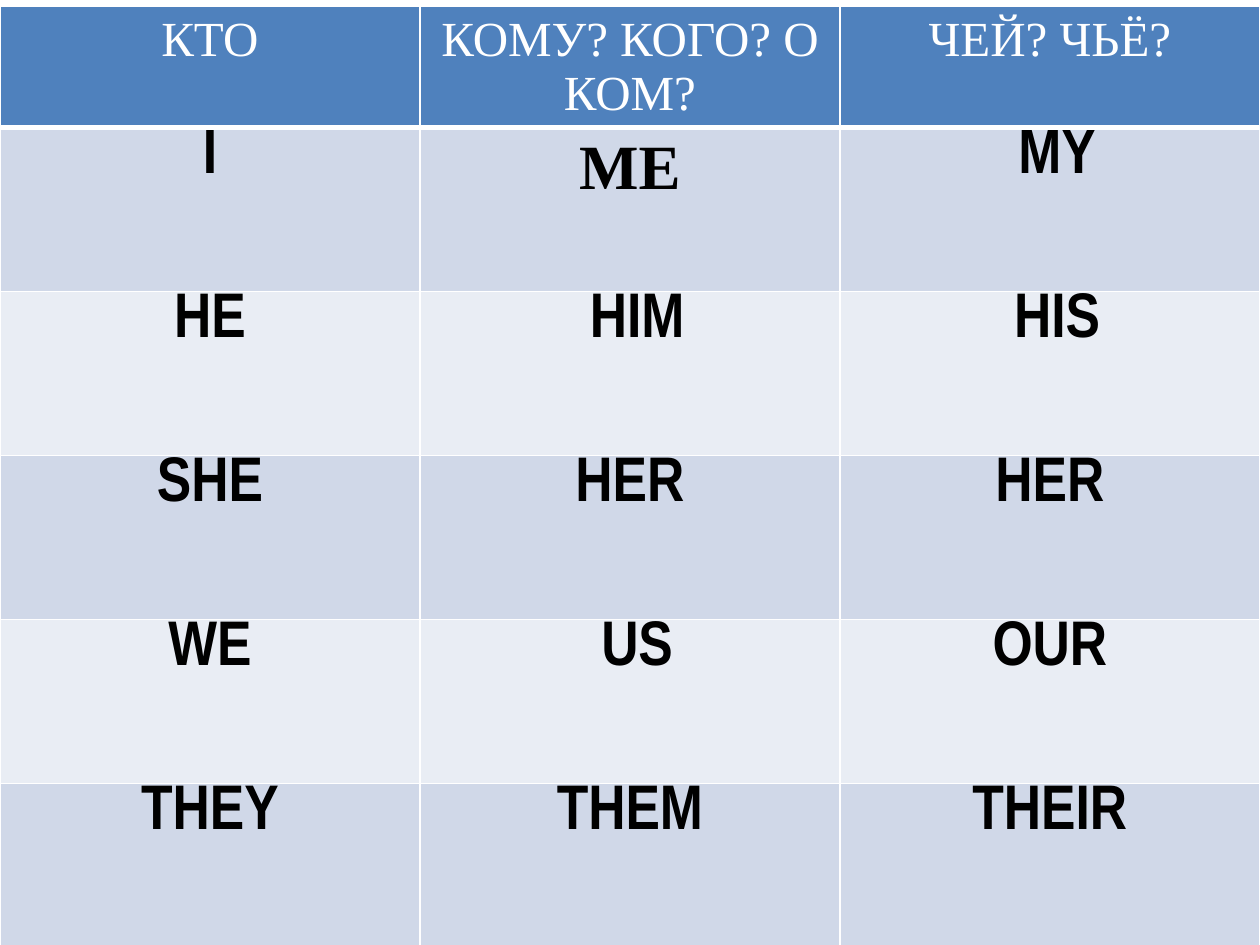
from lxml.etree import SubElement
from pptx import Presentation
from pptx.dml.color import RGBColor
from pptx.enum.text import PP_ALIGN as Align
from pptx.oxml.ns import qn
from pptx.util import Pt

WHITE = RGBColor(0xFF, 0xFF, 0xFF)
BLACK = RGBColor(0, 0, 0)
HEADER_BLUE = RGBColor(0x4F, 0x81, 0xBD)
BANDS = (RGBColor(0xD0, 0xD8, 0xE8), RGBColor(0xE9, 0xED, 0xF4))
SERIF, NARROW = "Times New Roman", "Arial Narrow"

QUESTIONS = ("КТО", "КОМУ? КОГО? О КОМ?", "ЧЕЙ? ЧЬЁ?")
PRONOUNS = [
    ("I", "ME", " MY"),
    ("HE", " HIM", " HIS"),
    ("SHE", "HER", " HER "),
    ("WE", " US", "OUR"),
    ("THEY", "THEM", "THEIR"),
]
SERIF_WORDS = {"ME"}

WIDTH, HEIGHT = 720, 540
TABLE_TOP, HEADER_HEIGHT, ROW_HEIGHT = 3.6, 68, 93.75


def set_borders(cell, bottom):
    properties = cell._tc.get_or_add_tcPr()
    widths = {"a:lnL": 1, "a:lnR": 1, "a:lnT": 1, "a:lnB": bottom}
    for position, (tag, width) in enumerate(widths.items()):
        line = SubElement(properties, qn(tag), w=str(Pt(width)))
        fill = SubElement(line, qn("a:solidFill"))
        SubElement(fill, qn("a:srgbClr"), val=str(WHITE))
        properties.insert(position, line)


def write_cell(cell, word, font_name, size, color, bold, fill, bottom):
    cell.fill.solid()
    cell.fill.fore_color.rgb = fill
    set_borders(cell, bottom)
    cell.margin_top = cell.margin_bottom = Pt(3.6 if font_name == SERIF else 0)
    paragraph = cell.text_frame.paragraphs[0]
    paragraph.alignment = Align.CENTER
    run = paragraph.add_run()
    run.text = word
    run.font.name = font_name
    run.font.size = Pt(size)
    run.font.bold = bold
    run.font.color.rgb = color


def main():
    deck = Presentation()
    deck.slide_width, deck.slide_height = Pt(WIDTH), Pt(HEIGHT)
    slide = deck.slides.add_slide(deck.slide_layouts[6])
    table_height = HEADER_HEIGHT + ROW_HEIGHT * len(PRONOUNS)
    table = slide.shapes.add_table(
        len(PRONOUNS) + 1, len(QUESTIONS),
        Pt(0), Pt(TABLE_TOP), Pt(WIDTH), Pt(table_height)).table
    for column in table.columns:
        column.width = Pt(WIDTH / len(QUESTIONS))

    table.rows[0].height = Pt(HEADER_HEIGHT)
    for col, question in enumerate(QUESTIONS):
        write_cell(table.cell(0, col), question, SERIF, 28, WHITE, False,
                   HEADER_BLUE, 3)

    for row, words in enumerate(PRONOUNS, start=1):
        table.rows[row].height = Pt(ROW_HEIGHT)
        for col, word in enumerate(words):
            font_name = SERIF if word in SERIF_WORDS else NARROW
            write_cell(table.cell(row, col), word, font_name, 36, BLACK, True,
                       BANDS[(row - 1) % 2], 1)

    deck.save("out.pptx")


if __name__ == "__main__":
    main()
